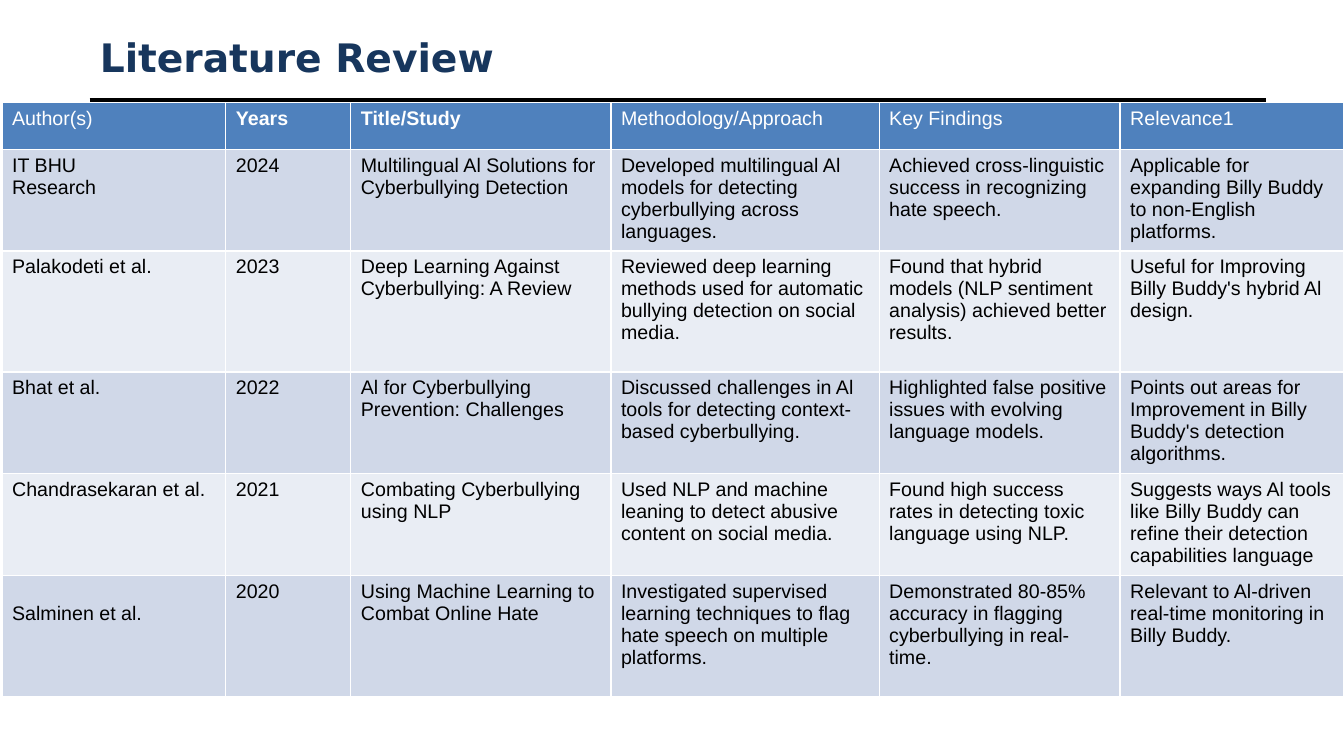
import pptx
import pptx.util
import pptx.dml.color
import pptx.enum.shapes
import pptx.enum.text
import pptx.oxml.ns
import lxml.etree

Inches = pptx.util.Inches
RGBColor = pptx.dml.color.RGBColor
NAVY = RGBColor(0x17, 0x36, 0x5D)
BLUE = RGBColor(0x4F, 0x81, 0xBD)
BAND_DARK = RGBColor(0xD0, 0xD8, 0xE8)
BAND_LIGHT = RGBColor(0xE9, 0xED, 0xF4)
BLACK = RGBColor(0, 0, 0)
WHITE = RGBColor(0xFF, 0xFF, 0xFF)


def write_text(tf, text, size=14, font="Arial", color=BLACK, bold=False):
    """Fill a text frame, one paragraph for each line of text."""
    tf.word_wrap = True
    for i, line in enumerate(text.split("\n")):
        p = tf.paragraphs[0] if i == 0 else tf.add_paragraph()
        p.alignment = pptx.enum.text.PP_ALIGN.LEFT
        r = p.add_run()
        r.text = line
        r.font.size = pptx.util.Pt(size)
        r.font.name = font
        r.font.color.rgb = color
        r.font.bold = bold


prs = pptx.Presentation()
prs.slide_width = Inches(13.33)
prs.slide_height = Inches(7.5)
slide = prs.slides.add_slide(prs.slide_layouts[5])

# Title
title = slide.shapes.title
title.left, title.top = Inches(0.89), Inches(0.3)
title.width, title.height = Inches(11.67), Inches(0.53)
write_text(title.text_frame, "Literature Review", size=28, font="DejaVu Sans",
           color=NAVY, bold=True)
title.text_frame.auto_size = pptx.enum.text.MSO_AUTO_SIZE.NONE
title.text_frame.vertical_anchor = pptx.enum.text.MSO_ANCHOR.MIDDLE

# Rule under the title
rule = slide.shapes.add_connector(
    pptx.enum.shapes.MSO_CONNECTOR.STRAIGHT,
    Inches(0.89), Inches(1), Inches(12.56), Inches(1))
rule.line.color.rgb = BLACK
rule.line.width = pptx.util.Pt(4.5)
lxml.etree.SubElement(rule._element.spPr, pptx.oxml.ns.qn("a:effectLst"))

# Studies, newest first
headers = ["Author(s)", "Years", "Title/Study", "Methodology/Approach",
           "Key Findings", "Relevance1"]
studies = [
    ["IT BHU\nResearch", "2024",
     "Multilingual Al Solutions for Cyberbullying Detection",
     "Developed multilingual Al models for detecting cyberbullying across languages.",
     "Achieved cross-linguistic success in recognizing hate speech.",
     "Applicable for expanding Billy Buddy to non-English platforms."],
    ["Palakodeti et al.", "2023",
     "Deep Learning Against Cyberbullying: A Review",
     "Reviewed deep learning methods used for automatic bullying detection on social media.",
     "Found that hybrid models (NLP sentiment analysis) achieved better results.",
     "Useful for Improving\nBilly Buddy's hybrid Al\ndesign."],
    ["Bhat et al.", "2022",
     "Al for Cyberbullying Prevention: Challenges",
     "Discussed challenges in Al tools for detecting context-based cyberbullying.",
     "Highlighted false positive issues with evolving language models.",
     "Points out areas for Improvement in Billy Buddy's detection algorithms."],
    ["Chandrasekaran et al.", "2021",
     "Combating Cyberbullying using NLP",
     "Used NLP and machine leaning to detect abusive content on social media.",
     "Found high success rates in detecting toxic language using NLP.",
     "Suggests ways Al tools like Billy Buddy can refine their detection capabilities language"],
    ["Salminen et al.", "2020",
     "Using Machine Learning to Combat Online Hate",
     "Investigated supervised learning techniques to flag hate speech on multiple platforms.",
     "Demonstrated 80-85% accuracy in flagging cyberbullying in real-time.",
     "Relevant to Al-driven real-time monitoring in Billy Buddy."],
]
col_widths = [2.22, 1.24, 2.58, 2.66, 2.39, 2.22]
row_heights = [0.46, 1.01, 1.2, 1.01, 1.01, 1.2]

# Table; its default style draws the white borders
table = slide.shapes.add_table(
    len(row_heights), len(col_widths), Inches(0.02), Inches(1.02),
    Inches(sum(col_widths)), Inches(sum(row_heights))).table
for column, width in zip(table.columns, col_widths):
    column.width = Inches(width)
for row, height in zip(table.rows, row_heights):
    row.height = Inches(height)

for i, values in enumerate([headers] + studies):
    for j, value in enumerate(values):
        cell = table.cell(i, j)
        cell.fill.solid()
        if i == 0:
            cell.fill.fore_color.rgb = BLUE
            write_text(cell.text_frame, value, color=WHITE,
                       bold=value in ("Years", "Title/Study"))
        else:
            cell.fill.fore_color.rgb = BAND_DARK if i % 2 else BAND_LIGHT
            write_text(cell.text_frame, value)

# The last author sits one line lower
table.cell(len(studies), 0).margin_top = Inches(0.27)

prs.save("out.pptx")
